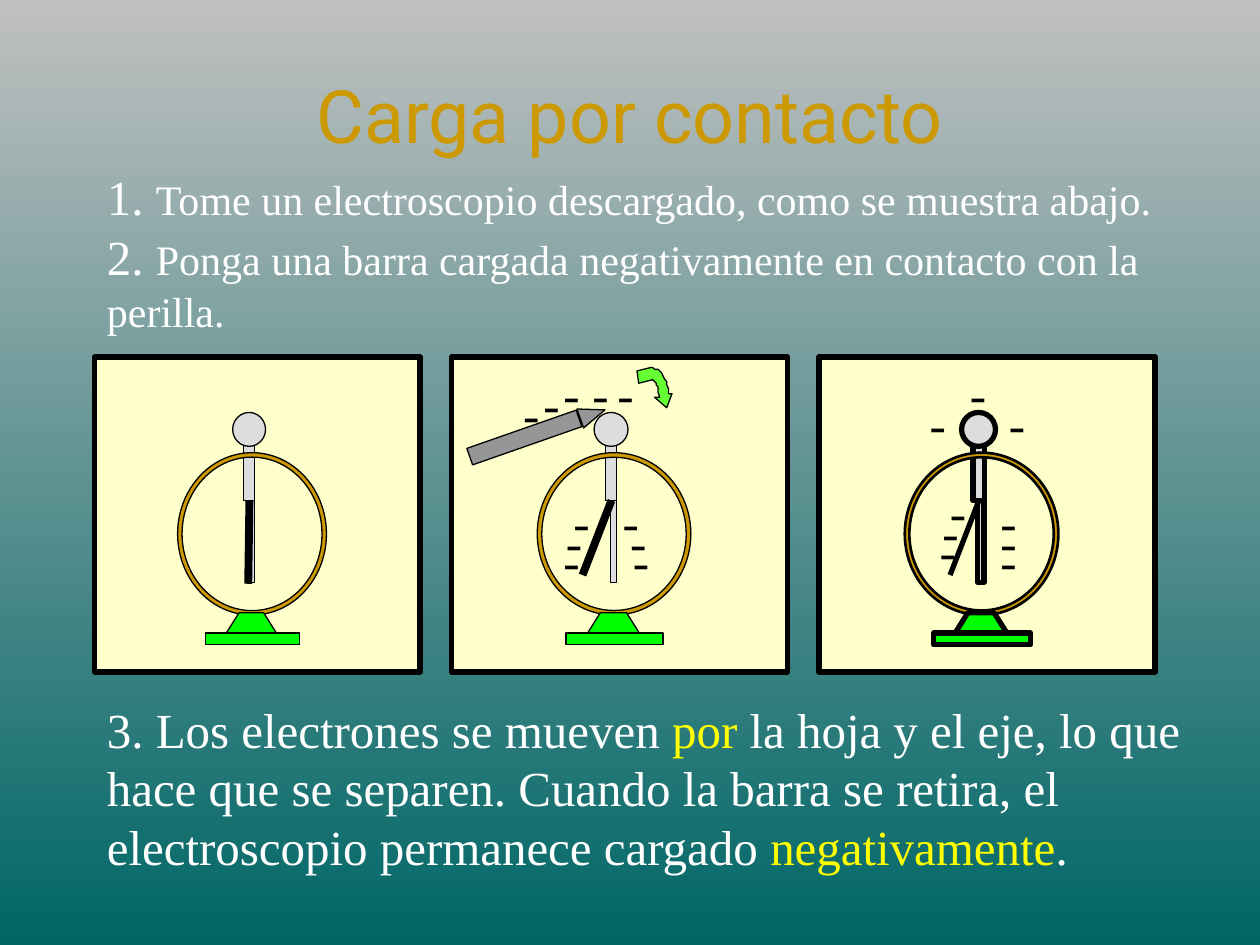
from dataclasses import dataclass

from lxml.etree import SubElement
from pptx import Presentation
from pptx.dml.color import RGBColor
from pptx.enum.shapes import MSO_CONNECTOR, MSO_SHAPE as Form
from pptx.enum.text import MSO_ANCHOR, MSO_AUTO_SIZE, PP_ALIGN
from pptx.oxml.ns import qn
from pptx.util import Pt


@dataclass(frozen=True)
class Theme:
    sky: str = "C0C0C0"
    sea: str = "006666"
    gold: str = "CC9900"
    white: str = "FFFFFF"
    yellow: str = "FFFF00"
    black: str = "000000"
    cream: str = "FFFFCC"
    metal: str = "DDDDDD"
    rod: str = "969696"
    green: str = "00FF00"
    arrow: str = "66FF33"
    heading_font: str = "Roboto"
    body_font: str = "Times New Roman"
    heading: int = 42
    large: int = 28
    medium: int = 24
    thin: float = 0.75
    thick: float = 3


THEME = Theme()
PANEL_WIDTH = 192


def paint(shape, fill, weight):
    shape.shadow.inherit = False
    shape.fill.solid()
    shape.fill.fore_color.rgb = RGBColor.from_string(fill)
    shape.line.color.rgb = RGBColor.from_string(THEME.black)
    shape.line.width = Pt(weight)


def add_text(shapes, box, runs, font=THEME.body_font):
    label = shapes.add_textbox(*map(Pt, box))
    frame = label.text_frame
    frame.word_wrap = True
    paragraph = frame.paragraphs[0]
    for words, size, color in runs:
        run = paragraph.add_run()
        run.text = words
        run.font.name = font
        run.font.size = Pt(size)
        run.font.color.rgb = RGBColor.from_string(color)
    return frame


def add_body(shapes, box, runs):
    frame = add_text(shapes, box, runs)
    frame.auto_size = MSO_AUTO_SIZE.SHAPE_TO_FIT_TEXT
    spacing = SubElement(frame.paragraphs[0]._p.get_or_add_pPr(), qn("a:spcBef"))
    SubElement(spacing, qn("a:spcPct")).set("val", "50000")


def add_background(slide):
    fill = slide.background.fill
    fill.gradient()
    fill.gradient_angle = 270
    for stop, color in zip(fill.gradient_stops, (THEME.sky, THEME.sea)):
        stop.color.rgb = RGBColor.from_string(color)


def add_title(slide, box):
    frame = add_text(slide.shapes, box,
                     [("Carga por contacto", THEME.heading, THEME.gold)],
                     THEME.heading_font)
    frame.vertical_anchor = MSO_ANCHOR.MIDDLE
    frame.paragraphs[0].alignment = PP_ALIGN.CENTER
    frame.paragraphs[0].line_spacing = 0.85


def add_step(slide, box, number, sentence):
    add_body(slide.shapes, box, [(number, THEME.large, THEME.white),
                                 (sentence, THEME.medium, THEME.white)])


def add_conclusion(slide, box):
    parts = [
        ("3. Los electrones se mueven ", THEME.white),
        ("por", THEME.yellow),
        (" la hoja y el eje, lo que hace que se separen. Cuando la barra se "
         "retira, el electroscopio permanece cargado ", THEME.white),
        ("negativamente", THEME.yellow),
        (".", THEME.white),
    ]
    add_body(slide.shapes, box, [(words, THEME.large, color) for words, color in parts])


def add_panel(slide, box, leaf_tip, leaf_weight, weight=THEME.thin,
              ring_weight=THEME.thin, charges=(), rod=False):
    left, top, width, height = box
    scale = width / PANEL_WIDTH
    shapes = slide.shapes.add_group_shape().shapes

    def place(form, part, fill, outline=weight, rotation=0):
        x, y, w, h = part
        shape = shapes.add_shape(form, Pt(left + x * scale), Pt(top + y),
                                 Pt(w * scale), Pt(h))
        paint(shape, fill, outline)
        shape.rotation = rotation
        return shape

    place(Form.RECTANGLE, (0, 0, PANEL_WIDTH, height), THEME.cream, THEME.thick)
    place(Form.RECTANGLE, (88, 43.2, 6.5, 39), THEME.metal)
    place(Form.OVAL, (81.5, 31.7, 19.4, 19.4), THEME.metal)
    ring = place(Form.DONUT, (49, 54.7, 87.8, 92.8), THEME.gold, ring_weight)
    ring.adjustments[0] = 0.03
    place(Form.RECTANGLE, (90.7, 82, 3.6, 46.8), THEME.metal)
    foot = place(Form.TRAPEZOID, (77.8, 146.2, 29.5, 11.5), THEME.green)
    foot.adjustments[0] = 0.63
    place(Form.RECTANGLE, (65.5, 157.7, 55.4, 6.7), THEME.green)

    tip_x, tip_y = leaf_tip
    leaf = shapes.add_connector(MSO_CONNECTOR.STRAIGHT,
                                Pt(left + 91.4 * scale), Pt(top + 82),
                                Pt(left + tip_x * scale), Pt(top + tip_y))
    leaf.line.color.rgb = RGBColor.from_string(THEME.black)
    leaf.line.width = Pt(leaf_weight)
    SubElement(leaf._element.spPr, qn("a:effectLst"))

    if rod:
        place(Form.RECTANGLE, (8.6, 41, 66.2, 10), THEME.rod, rotation=340.7)
        place(Form.ISOSCELES_TRIANGLE, (74.9, 25.2, 11.5, 15), THEME.rod, rotation=70.7)

    for charge_width, spots in charges:
        for x, y in spots:
            add_body(shapes, (left + x, top + y, charge_width, 41),
                     [("-", THEME.large, THEME.black)])


def bezier(start, first, second, end, steps=10):
    for step in range(1, steps + 1):
        t = step / steps
        weights = ((1 - t) ** 3, 3 * t * (1 - t) ** 2, 3 * t ** 2 * (1 - t), t ** 3)
        yield tuple(sum(w * point[axis] for w, point in zip(weights, (start, first, second, end)))
                    for axis in (0, 1))


def add_motion_arrow(slide, left, top):
    outline = [
        (16.6, 23.8), (20.2, 15.8), (18, 15.8), (17.3, 13),
        *bezier((17.3, 13), (16.6, 5.8), (11.5, 0), (7.9, 0.7)),
        (0, 2.2), (0.7, 9.4), (8.6, 7.9),
        *bezier((8.6, 7.9), (10.1, 7.9), (11.5, 10.8), (12.2, 14.4)),
        (13, 17.3), (10.1, 17.3),
    ]
    points = [(left + x, top + y) for x, y in outline]
    builder = slide.shapes.build_freeform(*points[0], scale=Pt(1))
    builder.add_line_segments(points[1:], close=True)
    paint(builder.convert_to_shape(), THEME.arrow, THEME.thin)


def main():
    deck = Presentation()
    deck.slide_width, deck.slide_height = Pt(720), Pt(540)
    slide = deck.slides.add_slide(deck.slide_layouts[6])
    add_background(slide)
    add_title(slide, (72, 24, 576, 90))
    add_panel(slide, (54, 204, 186, 180), (90.7, 129.6), 4.5)
    add_step(slide, (54, 91.5, 642, 41), "1. ",
             "Tome un electroscopio descargado, como se muestra abajo.")
    add_step(slide, (54, 126, 666, 70), "2. ",
             "Ponga una barra cargada negativamente en contacto con la perilla.")
    add_conclusion(slide, (54, 396, 666, 108))
    add_panel(slide, (468, 204, PANEL_WIDTH, 180), (74.9, 124.6), THEME.thick,
              weight=THEME.thick, ring_weight=1.5, charges=[
                  (38, [(67.7, 67.7), (63.4, 79.2), (61.9, 90),
                        (96.5, 73.4), (96.5, 85), (96.5, 95.8)]),
                  (28, [(56.2, 17.3), (79.2, 0), (101.5, 17.3)])])
    add_panel(slide, (258, 204, PANEL_WIDTH, 180), (74.9, 124.6), 4.5,
              rod=True, charges=[
                  (28, [(62.6, 73.4), (58.3, 85), (56.9, 95.8), (87.8, 0)]),
                  (38, [(90.7, 73.4), (95, 85), (96.5, 95.8), (56.9, 0),
                        (33.8, 11.5), (45.4, 5.8), (73.4, 0)])])
    add_motion_arrow(slide, 364.3, 209.5)
    deck.save("out.pptx")


if __name__ == "__main__":
    main()
